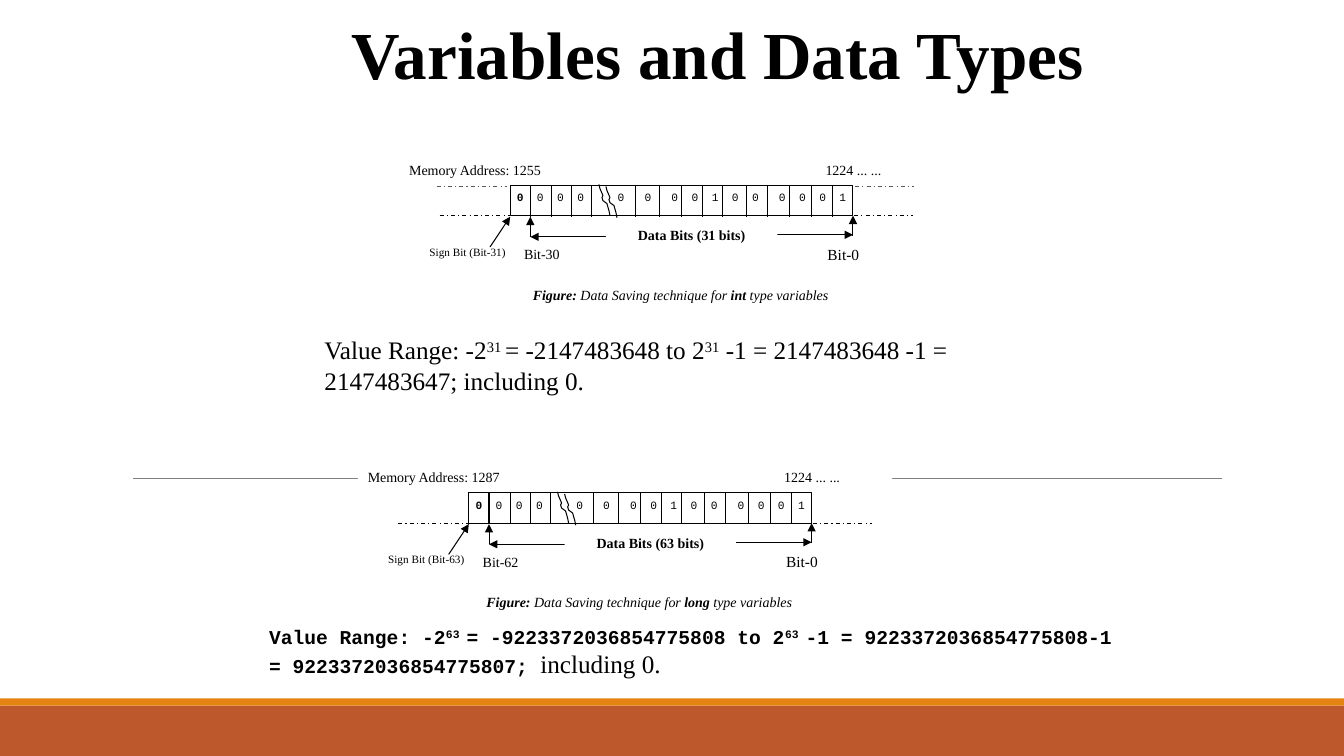
"""Build a slide showing how int and long values are stored bit by bit."""
import dataclasses

import pptx
import pptx.dml.color
import pptx.enum.dml
import pptx.enum.shapes
import pptx.enum.text
import pptx.oxml
import pptx.oxml.ns
import pptx.util

Inches = pptx.util.Inches
Pt = pptx.util.Pt
RGBColor = pptx.dml.color.RGBColor
ALIGN = pptx.enum.text.PP_ALIGN
RECTANGLE = pptx.enum.shapes.MSO_SHAPE.RECTANGLE
DASH_DOT = pptx.enum.dml.MSO_LINE.DASH_DOT

BLACK = RGBColor(0x00, 0x00, 0x00)
WHITE = RGBColor(0xFF, 0xFF, 0xFF)
GRAY = RGBColor(0x80, 0x80, 0x80)
RUST = RGBColor(0xBD, 0x58, 0x2C)
ORANGE = RGBColor(0xE4, 0x83, 0x12)
SERIF = "Times New Roman"
MONO = "Courier New"

REGISTER_WIDTH = 3.4
REGISTER_HEIGHT = 0.3
BITS = "000000001000001"
BIT_COLUMNS = (1, 4, 7, 10, 16, 20, 24, 27, 30, 33, 36, 40, 43, 46, 49)
COLUMN_WIDTH = 8 * 0.6 / 72
DIVIDERS = (0.2, 0.41, 0.61, 0.81, 1.24, 1.48, 1.7, 1.91, 2.11, 2.34, 2.55, 2.77, 2.99, 3.2)
BREAK_OUTLINE = ((0, 0), (0.01, 0.04), (0.04, 0.11), (0.03, 0.13),
                 (0.04, 0.16), (0.08, 0.19), (0.1, 0.26), (0.11, 0.31))
BREAK_STARTS = ((0.88, -0.01), (0.95, 0.01))


@dataclasses.dataclass(frozen=True)
class Span:
    text: str
    size: float
    font: str = SERIF
    bold: bool = False
    italic: bool = False
    raised: bool = False


@dataclasses.dataclass(frozen=True)
class Label:
    left: float
    top: float
    width: float
    spans: tuple[Span, ...]
    align: ALIGN = ALIGN.CENTER
    inset: float = 0
    tabs: tuple[float, ...] = ()
    outlined: bool = False


@dataclasses.dataclass(frozen=True)
class Line:
    start: tuple[float, float]
    end: tuple[float, float]
    width: float = 0.75
    dashed: bool = False
    arrow: bool = False
    color: RGBColor = BLACK


@dataclasses.dataclass(frozen=True)
class Register:
    left: float
    top: float
    type_name: str
    bit_count: int
    first_address: int


REGISTERS = (Register(4.65, 4.89, "long", 64, 1287), Register(5.06, 1.84, "int", 32, 1255))

SIDE_LINES = (
    Line((3.3, 0.3), (4, 0.3), dashed=True),
    Line((3.31, 0.01), (4.01, 0.01), dashed=True),
    Line((-0.7, 0.3), (0, 0.3), dashed=True),
    Line((-0.73, 0.01), (-0.03, 0.01), dashed=True),
)
BIT_ARROWS = (
    Line((1.4, 0.51), (0.2, 0.51), arrow=True),
    Line((2.1, 0.49), (3.4, 0.49), arrow=True),
    Line((3.4, 0.5), (3.4, 0.3), arrow=True),
    Line((0.2, 0.51), (0.2, 0.31), width=0.5, arrow=True),
)
SIGN_ARROW = Line((-0.2, 0.61), (0, 0.31), arrow=True)


def add_spans(paragraph: pptx.text.text._Paragraph, spans: tuple[Span, ...]) -> None:
    for span in spans:
        run = paragraph.add_run()
        run.text = span.text
        font = run.font
        font.name, font.size = span.font, Pt(span.size)
        font.bold, font.italic = span.bold, span.italic
        font.color.rgb = BLACK
        if span.raised:
            run._r.get_or_add_rPr().set("baseline", "30000")


def add_tab_stops(paragraph: pptx.text.text._Paragraph, stops: tuple[float, ...]) -> None:
    properties = paragraph._p.get_or_add_pPr()
    tab_list = pptx.oxml.parse_xml(f"<a:tabLst {pptx.oxml.ns.nsdecls('a')}/>")
    for stop in stops:
        tab = tab_list.makeelement(pptx.oxml.ns.qn("a:tab"), {"pos": str(Inches(stop)), "algn": "l"})
        tab_list.append(tab)
    properties.append(tab_list)


def add_block(shapes, left: float, top: float, width: float, height: float, fill: RGBColor):
    shape = shapes.add_shape(RECTANGLE, Inches(left), Inches(top), Inches(width), Inches(height))
    shape.shadow.inherit = False
    shape.fill.solid()
    shape.fill.fore_color.rgb = fill
    shape.line.fill.background()
    return shape


def add_label(shapes, label: Label, left: float, top: float) -> None:
    shape = add_block(shapes, left + label.left, top + label.top, label.width, REGISTER_HEIGHT, WHITE)
    if label.outlined:
        shape.line.color.rgb = BLACK
        shape.line.width = Pt(0.75)
    frame = shape.text_frame
    frame.word_wrap = True
    frame.vertical_anchor = pptx.enum.text.MSO_ANCHOR.TOP
    frame.margin_left = frame.margin_right = Inches(label.inset)
    paragraph = frame.paragraphs[0]
    paragraph.alignment = label.align
    if label.tabs:
        add_tab_stops(paragraph, label.tabs)
    add_spans(paragraph, label.spans)


def add_line(shapes, line: Line, left: float = 0, top: float = 0) -> None:
    (x1, y1), (x2, y2) = line.start, line.end
    connector = shapes.add_connector(
        pptx.enum.shapes.MSO_CONNECTOR.STRAIGHT,
        Inches(left + x1), Inches(top + y1), Inches(left + x2), Inches(top + y2))
    connector.line.color.rgb = line.color
    connector.line.width = Pt(line.width)
    if line.dashed:
        connector.line.dash_style = DASH_DOT
    namespace = pptx.oxml.ns.nsdecls("a")
    if line.arrow:
        connector.line._get_or_add_ln().append(
            pptx.oxml.parse_xml(f'<a:tailEnd {namespace} type="triangle"/>'))
    connector._element.spPr.append(pptx.oxml.parse_xml(f"<a:effectLst {namespace}/>"))


def add_break(shapes, left: float, top: float) -> None:
    points = [(Inches(left + x), Inches(top + y)) for x, y in BREAK_OUTLINE]
    builder = shapes.build_freeform(*points[0])
    builder.add_line_segments(points[1:], close=False)
    shape = builder.convert_to_shape()
    shape.shadow.inherit = False
    shape.fill.background()
    shape.line.color.rgb = BLACK
    shape.line.width = Pt(0.75)


def add_register(slide: pptx.slide.Slide, register: Register) -> None:
    shapes = slide.shapes.add_group_shape().shapes
    sign_bit = register.bit_count - 1
    caption = (Span("Figure: ", 10, bold=True, italic=True),
               Span("Data Saving technique for ", 10, italic=True),
               Span(f"{register.type_name} ", 10, bold=True, italic=True),
               Span("type variables", 10, italic=True))
    address = Span(f"Memory Address: {register.first_address}\t1224 ... ...", 10)
    bits = (Span(f"\t{BITS[0]}", 8, MONO, bold=True),
            Span("".join(f"\t{bit}" for bit in BITS[1:]), 8, MONO))
    bit_stops = tuple(column * COLUMN_WIDTH for column in BIT_COLUMNS)
    labels = (
        Label(-0.35, 0.95, 4.08, caption, inset=0.1),
        Label(-0.8, 0.54, 0.8, (Span(f"Sign Bit (Bit-{sign_bit})", 8),), ALIGN.LEFT),
        Label(0.1, 0.55, 0.43, (Span(f"Bit-{sign_bit - 1}", 10),)),
        Label(3.1, 0.54, 0.41, (Span("Bit-0", 11),)),
        Label(-1.1, -0.29, 5.3, (address,), ALIGN.LEFT, 0.1, (4.13,)),
        Label(0, 0, REGISTER_WIDTH, bits, ALIGN.LEFT, tabs=bit_stops, outlined=True),
        Label(0.95, 0.36, 1.7, (Span(f"Data Bits ({sign_bit} bits)", 10, bold=True),)),
    )
    dividers = tuple(Line((x, 0), (x, 0.31)) for x in DIVIDERS)
    for line in SIDE_LINES + BIT_ARROWS:
        add_line(shapes, line, register.left, register.top)
    for label in labels:
        add_label(shapes, label, register.left, register.top)
    for line in (SIGN_ARROW,) + dividers:
        add_line(shapes, line, register.left, register.top)
    for x, y in BREAK_STARTS:
        add_break(shapes, register.left + x, register.top + y)


def add_range(slide: pptx.slide.Slide, left: float, top: float, width: float, height: float,
              spans: tuple[Span, ...]) -> None:
    box = slide.shapes.add_textbox(Inches(left), Inches(top), Inches(width), Inches(height))
    box.text_frame.word_wrap = True
    add_spans(box.text_frame.paragraphs[0], spans)


def add_title(slide: pptx.slide.Slide) -> None:
    title = slide.shapes.title
    title.left, title.top, title.width, title.height = map(Inches, (2.28, 0.07, 9.68, 0.91))
    frame = title.text_frame
    frame.auto_size = pptx.enum.text.MSO_AUTO_SIZE.NONE
    frame.vertical_anchor = pptx.enum.text.MSO_ANCHOR.TOP
    paragraph = frame.paragraphs[0]
    paragraph.alignment = ALIGN.CENTER
    paragraph.space_after = Pt(6)
    add_spans(paragraph, (Span("Variables and Data Types", 48, bold=True),))


def main() -> None:
    presentation = pptx.Presentation()
    presentation.slide_width, presentation.slide_height = Inches(13.33), Inches(7.5)
    slide = presentation.slides.add_slide(presentation.slide_layouts[5])
    add_title(slide)
    add_block(slide.shapes, 0, 7, 13.33, 0.5, RUST)
    add_block(slide.shapes, 0, 6.93, 13.33, 0.07, ORANGE)
    add_line(slide.shapes, Line((1.32, 4.75), (12.12, 4.75), width=0.5, color=GRAY))
    for register in REGISTERS:
        add_register(slide, register)
    add_range(slide, 2.57, 6.15, 8.57, 0.64, (
        Span("Value Range: -2", 14, MONO, bold=True),
        Span("63 ", 14, MONO, bold=True, raised=True),
        Span("= -9223372036854775808 to 2", 14, MONO, bold=True),
        Span("63 ", 14, MONO, bold=True, raised=True),
        Span("-1 = 9223372036854775808-1 = 9223372036854775807; ", 14, MONO, bold=True),
        Span("including 0.", 18)))
    add_range(slide, 3.12, 3.27, 6.67, 0.71, (
        Span("Value Range: -2", 18), Span("31 ", 18, raised=True),
        Span("= -2147483648 to 2", 18), Span("31", 18, raised=True),
        Span(" -1 = 2147483648 -1 = 2147483647; including 0.", 18)))
    presentation.save("out.pptx")


if __name__ == "__main__":
    main()
